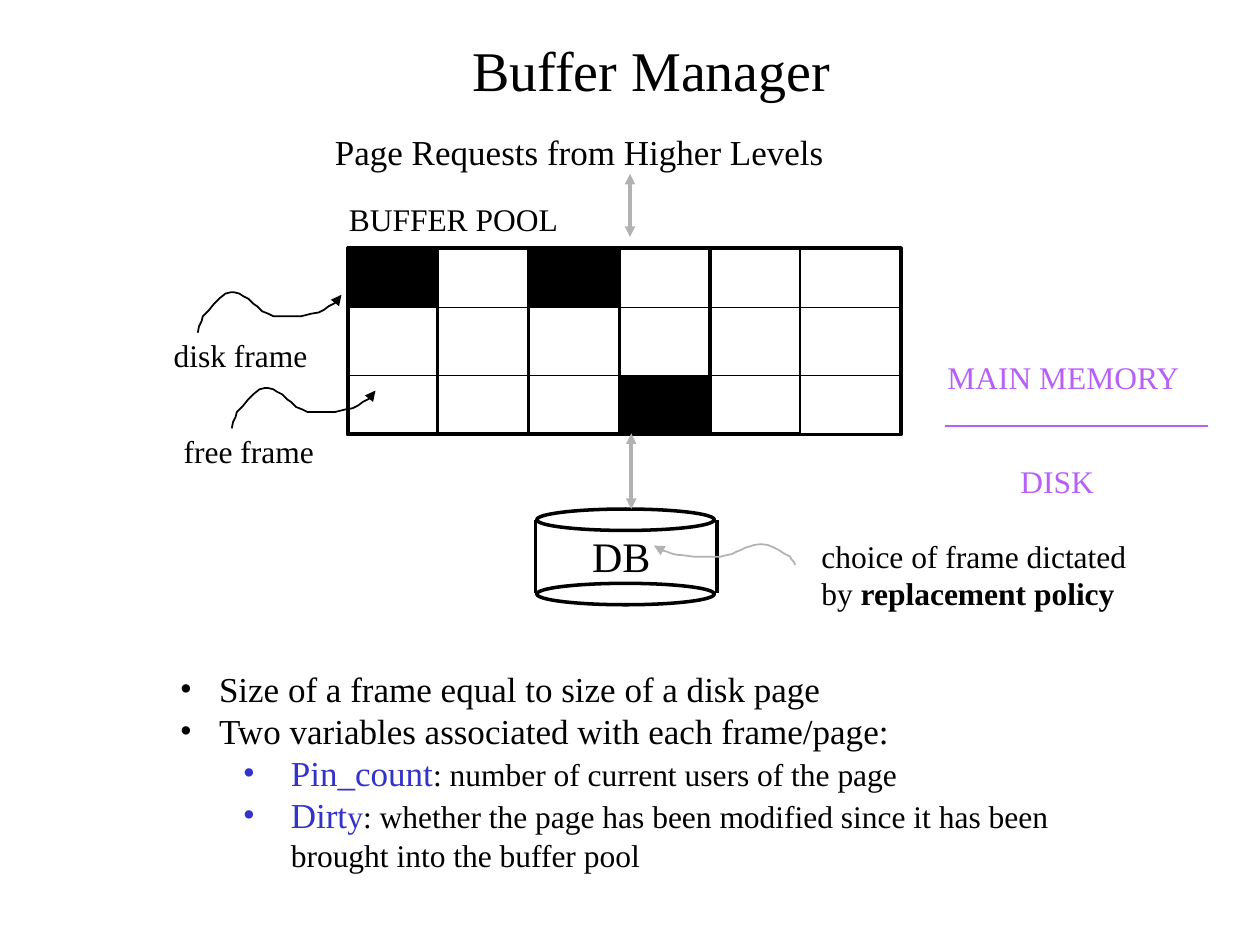
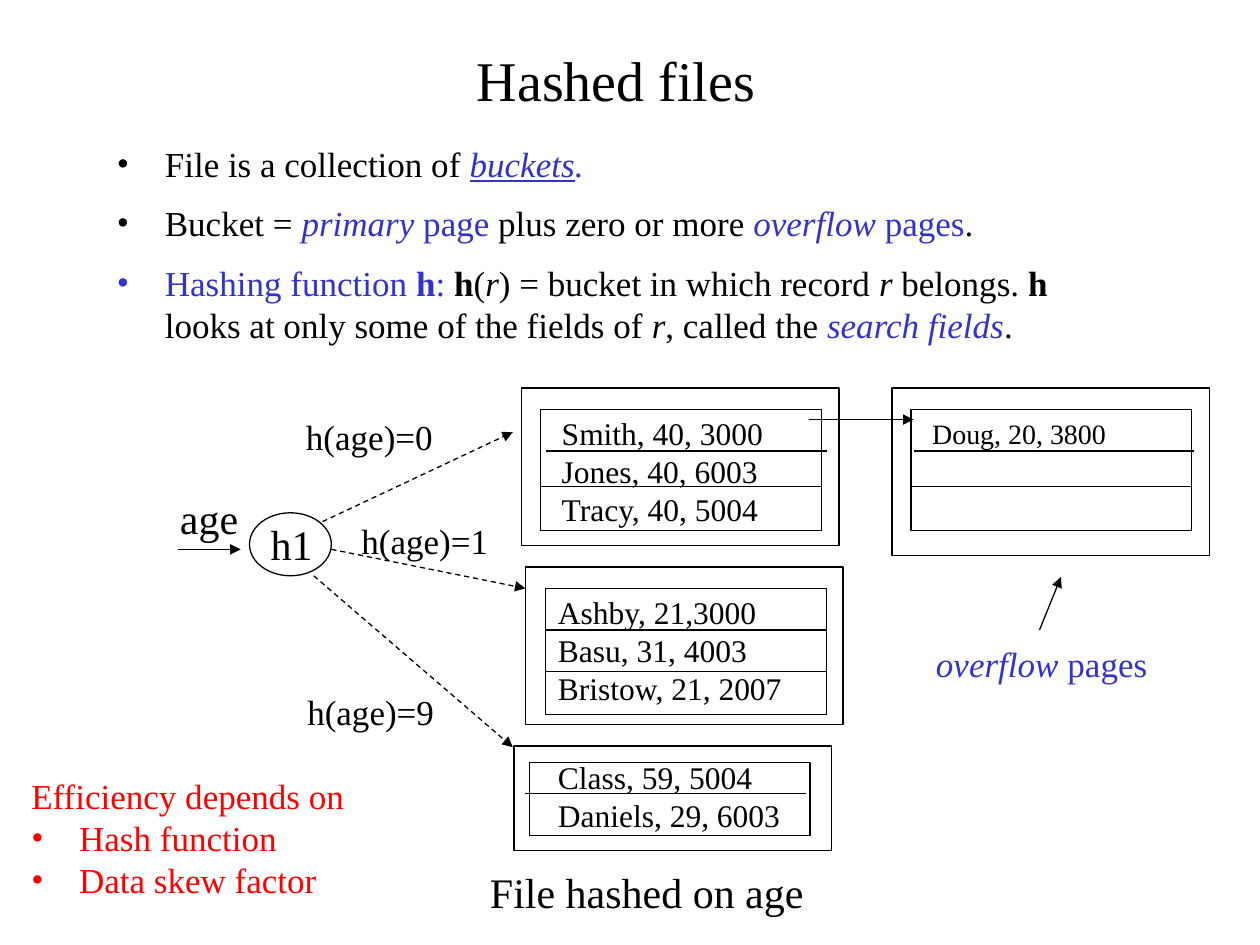
import dataclasses

import lxml.etree
import pptx
import pptx.dml.color
import pptx.enum.dml
import pptx.enum.shapes
import pptx.enum.text
import pptx.oxml.ns
import pptx.util

Inches = pptx.util.Inches
SHAPES = pptx.enum.shapes.MSO_SHAPE


@dataclasses.dataclass(frozen=True)
class Theme:
    font: str = "Times New Roman"
    black: str = "000000"
    blue: str = "3333CC"
    violet: str = "B760F9"
    gray: str = "B2B2B2"
    red: str = "FF0000"
    title: int = 32
    large: int = 24
    body: int = 20
    label: int = 18
    small: int = 16
    thick: float = 2
    thin: float = 1
    hair: float = 0.75


THEME = Theme()

# Run formats
BOLD = {"bold": True}
ITALIC = {"italic": True}
BLUE = {"color": THEME.blue}
BLUE_ITALIC = {**BLUE, **ITALIC}
SMALLER = {"size": THEME.label}

# Bullet indents: level, left margin, hanging indent, space before in points
TOP_BULLET = (0, 0.31, 0.31, 0)
SUB_BULLET = (1, 0.88, 0.38, 0)
SPACED_BULLET = (1, 0.88, 0.38, 10)
SHORT_BULLET = (0, 0.38, 0.38, 0)

# Buffer Manager: labels are (left, top, width, height, size, colour, paragraphs)
BUFFER_TITLE = ("Buffer Manager", (0.92, 0.17, 8.5, 0.75))
BUFFER_LABELS = [
    (2.56, 0.99, 4.11, 0.43, THEME.body, THEME.black, ["Page Requests from Higher Levels"]),
    (2.67, 1.54, 1.9, 0.4, THEME.label, THEME.black, ["BUFFER POOL"]),
    (1.28, 2.62, 1.27, 0.4, THEME.label, THEME.black, ["disk frame"]),
    (1.36, 3.38, 1.24, 0.4, THEME.label, THEME.black, ["free frame"]),
    (7.42, 2.79, 2.12, 0.4, THEME.label, THEME.violet, ["MAIN MEMORY"]),
    (8, 3.62, 0.79, 0.4, THEME.label, THEME.violet, ["DISK"]),
    (4.6, 4.16, 0.69, 0.5, THEME.large, THEME.black, ["DB"]),
    (6.42, 4.21, 2.65, 0.7, THEME.label, THEME.black,
     ["choice of frame dictated", ["by ", ("replacement policy", BOLD)]]),
]
BUFFER_POINTS = [
    (TOP_BULLET, THEME.black, ["Size of a frame equal to size of a disk page"]),
    (TOP_BULLET, THEME.black, ["Two variables associated with each frame/page:"]),
    (SUB_BULLET, THEME.blue, [
        ("Pin_count", BLUE), (": number of current users of the page", SMALLER)]),
    (SUB_BULLET, THEME.blue, [
        ("Dirt", BLUE), ("y", {**BLUE, **SMALLER}),
        (": whether the page has been modified since it has been brought into the buffer pool",
         SMALLER)]),
]
POOL = (2.76, 1.97, 4.39, 1.48)
FRAME_PITCH = 0.72
FRAME_COLUMNS = 5
ROW_EDGES = [1.96, 2.44, 2.98, 3.46]
USED_FRAMES = [(0, 0), (0, 2), (2, 3)]
DISK_LEFT, DISK_RIGHT = 4.25, 5.69
DISK_LIDS = [4.04, 4.63]
DATA_FLOWS = [(5, 1.38, 5, 1.88), (5.01, 3.44, 5.01, 4.04)]
MEMORY_BORDER = (7.5, 3.38, 9.59, 3.38)

# Wavy pointer, as hundredths of an inch from its start corner
WAVE_WIDTH, WAVE_HEIGHT = 114, 33
WAVE = [
    (0, 32), (1, 27), (3, 23), (4, 19), (9, 14), (13, 9), (17, 5), (22, 1), (26, 0),
    (29, 0), (33, 1), (36, 3), (40, 5), (44, 9), (47, 11), (51, 15), (56, 17), (60, 19),
    (64, 19), (77, 19), (82, 19), (86, 18), (90, 17), (96, 16), (100, 14), (104, 11),
    (108, 9), (111, 7), (114, 2),
]
# Start x, top, signed width, height, colour
POINTERS = [
    (1.57, 2.32, 1.14, 0.33, THEME.black),
    (1.84, 3.08, 1.14, 0.33, THEME.black),
    (6.31, 4.32, -1.12, 0.17, THEME.gray),
]

# Hashed files
HASH_TITLE = ("Hashed files", (3.67, 0.31, 2.44, 0.64))
HASH_POINTS = [
    (SPACED_BULLET, THEME.black, [
        "File is a collection of ", ("buckets", {**BLUE_ITALIC, "underline": True}),
        (".", BLUE_ITALIC)]),
    (SPACED_BULLET, THEME.black, [
        "Bucket = ", ("primary", BLUE_ITALIC), (" page", BLUE), " plus zero or more ",
        ("overflow", BLUE_ITALIC), (" pages", BLUE), "."]),
    (SPACED_BULLET, THEME.blue, [
        ("Hashing function", BLUE), (" h", {**BLUE, **BOLD}), (": ", BLUE), ("h", BOLD), "(",
        ("r", ITALIC), ") = bucket in which record ", ("r", ITALIC), " belongs. ", ("h", BOLD),
        " looks at only some of the fields of ", ("r", ITALIC), ", called the ",
        ("search fields", BLUE_ITALIC), "."]),
]
EFFICIENCY_POINTS = [
    (None, THEME.red, ["Efficiency depends on"]),
    (SHORT_BULLET, THEME.red, ["Hash function"]),
    (SHORT_BULLET, THEME.red, ["Data skew factor"]),
]
HASH_LABELS = [
    (2.05, 4.07, 0.54, 0.5, THEME.large, THEME.black, ["h1"]),
    (1.33, 3.86, 0.67, 0.5, THEME.large, THEME.black, ["age"]),
    (2.33, 3.25, 1.22, 0.44, THEME.body, THEME.black, ["h(age)=0"]),
    (2.77, 4.07, 1.22, 0.44, THEME.body, THEME.black, ["h(age)=1"]),
    (2.34, 5.43, 1.22, 0.44, THEME.body, THEME.black, ["h(age)=9"]),
    (3.79, 6.83, 2.71, 0.5, THEME.large, THEME.black, ["File hashed on age"]),
    (7.33, 5.05, 1.89, 0.44, THEME.body, THEME.blue, [[("overflow", ITALIC), " pages"]]),
    (4.36, 3.24, 1.81, 1.01, THEME.label, THEME.black,
     ["Smith, 40, 3000", "Jones, 40, 6003", "Tracy, 40, 5004"]),
    (4.33, 4.66, 1.99, 1.01, THEME.label, THEME.black,
     ["Ashby, 21,3000", "Basu, 31, 4003", "Bristow, 21, 2007"]),
    (4.33, 5.97, 1.98, 0.71, THEME.label, THEME.black, ["Class, 59, 5004", "Daniels, 29, 6003"]),
    (7.3, 3.26, 1.6, 0.37, THEME.small, THEME.black, ["Doug, 20, 3800"]),
]
PAGE_WIDTH, RECORDS_WIDTH = 2.52, 2.23
# Page (left, top, height), records (left, top, height), rules (left, y)
PAGES = [
    ((4.14, 3.08, 1.25), (4.29, 3.25, 0.96), [(4.33, 3.58), (4.29, 3.86)]),
    ((4.17, 4.5, 1.25), (4.33, 4.67, 1), [(4.33, 5), (4.33, 5.33)]),
    ((4.08, 5.92, 0.83), (4.2, 6.05, 0.58), [(4.17, 6.3)]),
    ((7.08, 3.08, 1.33), (7.23, 3.25, 0.96), [(7.25, 3.58), (7.23, 3.86)]),
]
HASH_FUNCTION = (1.98, 4.07, 0.65, 0.5)
BUCKET_ARROWS = [(2.56, 4.14, 4.07, 3.43), (2.63, 4.36, 4.17, 4.67), (2.49, 4.57, 4.07, 5.93)]
PLAIN_ARROWS = [(1.41, 4.36, 1.91, 4.36), (6.42, 3.33, 7.25, 3.33), (8.25, 5, 8.42, 4.58)]


def rgb(color):
    return pptx.dml.color.RGBColor.from_string(color)


def add_element(parent, tag, **attributes):
    return lxml.etree.SubElement(parent, pptx.oxml.ns.qn(tag), attributes)


def style_line(shape, color, width, ends=()):
    """Set the line; ends lists headEnd and tailEnd where arrowheads go."""
    shape.line.color.rgb = rgb(color)
    shape.line.width = pptx.util.Pt(width)
    for end in ends:
        add_element(shape.line._get_or_add_ln(), f"a:{end}", type="triangle")


def add_outline(slide, kind, box, width=THEME.hair, fill=None):
    shape = slide.shapes.add_shape(kind, *map(Inches, box))
    shape.shadow.inherit = False
    if fill:
        shape.fill.solid()
        shape.fill.fore_color.rgb = rgb(fill)
        shape.line.fill.background()
    else:
        shape.fill.background()
        style_line(shape, THEME.black, width)


def add_line(slide, ends_at, color=THEME.black, width=THEME.hair, ends=(), dashed=False):
    connector = slide.shapes.add_connector(
        pptx.enum.shapes.MSO_CONNECTOR.STRAIGHT, *map(Inches, ends_at))
    if dashed:
        connector.line.dash_style = pptx.enum.dml.MSO_LINE.DASH
    style_line(connector, color, width, ends)
    add_element(connector._element.spPr, "a:effectLst")


def add_pointer(slide, start, top, width, height, color):
    points = [(Inches(start + x * width / WAVE_WIDTH), Inches(top + y * height / WAVE_HEIGHT))
              for x, y in WAVE]
    builder = slide.shapes.build_freeform(*points[0])
    builder.add_line_segments(points[1:], close=False)
    shape = builder.convert_to_shape()
    shape.shadow.inherit = False
    shape.fill.background()
    style_line(shape, color, THEME.thin, ["tailEnd"])


def add_bullet(paragraph, bullet, color, first):
    level, margin, hanging, space = bullet
    paragraph.level = level
    paragraph.space_before = pptx.util.Pt(0 if first else space)
    properties = paragraph._p.get_or_add_pPr()
    properties.set("marL", str(Inches(margin)))
    properties.set("indent", str(-Inches(hanging)))
    add_element(add_element(properties, "a:buClr"), "a:srgbClr", val=color)
    add_element(properties, "a:buFont", typeface=THEME.font)
    add_element(properties, "a:buChar", char="•")


def add_runs(paragraph, runs, size, color):
    for item in runs:
        text, changes = (item, {}) if isinstance(item, str) else item
        run = paragraph.add_run()
        run.text = text
        values = {"name": THEME.font, "size": size, "color": color, **changes}
        run.font.color.rgb = rgb(values.pop("color"))
        values["size"] = pptx.util.Pt(values["size"])
        for name, value in values.items():
            setattr(run.font, name, value)


def add_text(slide, box, size, paragraphs, wrap=False):
    """Add a text box; paragraphs are (bullet, colour, runs)."""
    text_box = slide.shapes.add_textbox(*map(Inches, box))
    frame = text_box.text_frame
    frame.word_wrap = wrap
    frame.auto_size = pptx.enum.text.MSO_AUTO_SIZE.SHAPE_TO_FIT_TEXT
    for index, (bullet, color, runs) in enumerate(paragraphs):
        paragraph = frame.add_paragraph() if index else frame.paragraphs[0]
        if bullet:
            add_bullet(paragraph, bullet, color, first=index == 0)
        # Bullets may differ in colour from the black text that follows them
        text_color = THEME.black if color == THEME.blue and bullet else color
        add_runs(paragraph, runs, size, text_color)
    return frame


def add_labels(slide, labels):
    for *box, size, color, lines in labels:
        paragraphs = [(None, color, [line] if isinstance(line, str) else line) for line in lines]
        add_text(slide, box, size, paragraphs)


def add_titled_slide(presentation, title):
    slide = presentation.slides.add_slide(presentation.slide_layouts[6])
    text, box = title
    frame = add_text(slide, box, THEME.title, [(None, THEME.black, [text])], wrap=True)
    frame.auto_size = pptx.enum.text.MSO_AUTO_SIZE.NONE
    frame.vertical_anchor = pptx.enum.text.MSO_ANCHOR.MIDDLE
    frame.word_wrap = box[2] > 3
    frame.paragraphs[0].alignment = pptx.enum.text.PP_ALIGN.CENTER
    return slide


def draw_buffer_pool(slide):
    left, top, width, height = POOL
    add_outline(slide, SHAPES.RECTANGLE, POOL, THEME.thick)
    for column in range(FRAME_COLUMNS):
        box = (left + column * FRAME_PITCH, ROW_EDGES[0], FRAME_PITCH - 0.01, height)
        add_outline(slide, SHAPES.RECTANGLE, box, THEME.thin)
    for y in ROW_EDGES[1:-1]:
        add_line(slide, (left, y, left + width, y), width=THEME.thin)
    for row, column in USED_FRAMES:
        row_top, row_bottom = ROW_EDGES[row:row + 2]
        box = (left + column * FRAME_PITCH, row_top, FRAME_PITCH, row_bottom - row_top)
        add_outline(slide, SHAPES.RECTANGLE, box, fill=THEME.black)


def draw_disk(slide):
    for top in DISK_LIDS:
        add_outline(slide, SHAPES.OVAL, (DISK_LEFT + 0.01, top, 1.41, 0.17), THEME.thick)
    for x in (DISK_LEFT, DISK_RIGHT):
        add_line(slide, (x, DISK_LIDS[0] + 0.09, x, DISK_LIDS[1] + 0.08), width=THEME.thick)


def build_buffer_slide(presentation):
    slide = add_titled_slide(presentation, BUFFER_TITLE)
    draw_disk(slide)
    draw_buffer_pool(slide)
    add_line(slide, MEMORY_BORDER, THEME.violet, THEME.thin)
    for flow in DATA_FLOWS:
        add_line(slide, flow, THEME.gray, THEME.thick, ["headEnd", "tailEnd"])
    for pointer in POINTERS:
        add_pointer(slide, *pointer)
    add_labels(slide, BUFFER_LABELS)
    add_text(slide, (1.33, 5.25, 7.42, 1.75), THEME.body, BUFFER_POINTS, wrap=True)


def build_hash_slide(presentation):
    slide = add_titled_slide(presentation, HASH_TITLE)
    add_text(slide, (0.33, 1.08, 8.75, 1.78), THEME.body, HASH_POINTS, wrap=True)
    for page, records, rules in PAGES:
        for (left, top, height), width in ((page, PAGE_WIDTH), (records, RECORDS_WIDTH)):
            add_outline(slide, SHAPES.RECTANGLE, (left, top, width, height))
        for x, y in rules:
            add_line(slide, (x, y, x + RECORDS_WIDTH, y))
    add_outline(slide, SHAPES.OVAL, HASH_FUNCTION)
    for arrow in BUCKET_ARROWS + PLAIN_ARROWS:
        add_line(slide, arrow, ends=["tailEnd"], dashed=arrow in BUCKET_ARROWS)
    add_labels(slide, HASH_LABELS)
    add_text(slide, (0.15, 6.1, 2.7, 1.11), THEME.body, EFFICIENCY_POINTS)


def main():
    presentation = pptx.Presentation()
    presentation.slide_width = Inches(10)
    presentation.slide_height = Inches(7.5)
    build_buffer_slide(presentation)
    build_hash_slide(presentation)
    presentation.save("out.pptx")


if __name__ == "__main__":
    main()
